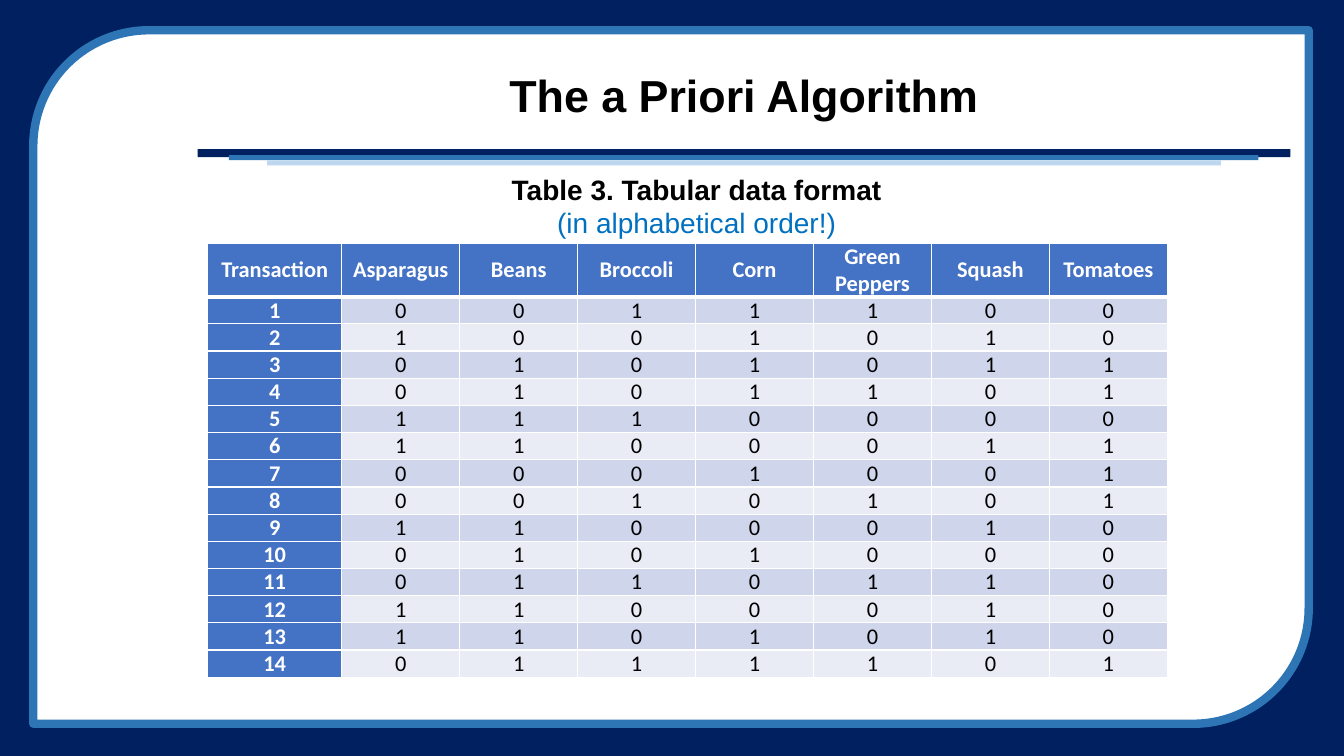
from dataclasses import dataclass

from lxml import etree
from pptx import Presentation
from pptx.dml.color import RGBColor
from pptx.enum.shapes import MSO_SHAPE
from pptx.enum.text import MSO_ANCHOR, PP_ALIGN
from pptx.oxml.ns import qn
from pptx.util import Pt

PX = 9144  # EMU in one px, 100 px to the inch
RECT = MSO_SHAPE.RECTANGLE
DIAG = MSO_SHAPE.ROUND_2_DIAG_RECTANGLE
TOP, MIDDLE = MSO_ANCHOR.TOP, MSO_ANCHOR.MIDDLE
CENTER = PP_ALIGN.CENTER

NAVY = RGBColor(0x00, 0x20, 0x60)
BLUE = RGBColor(0x2E, 0x75, 0xB6)
PALE = RGBColor(0xBD, 0xD7, 0xEE)
NOTE = RGBColor(0x00, 0x70, 0xC0)
HEAD = RGBColor(0x44, 0x72, 0xC4)
ODD = RGBColor(0xCF, 0xD5, 0xEA)
EVEN = RGBColor(0xE9, 0xEB, 0xF5)
WHITE = RGBColor(0xFF, 0xFF, 0xFF)
BLACK = RGBColor(0x00, 0x00, 0x00)


@dataclass
class Box:
    left: int
    top: int
    width: int
    height: int

    def emu(self) -> list[int]:
        return [n * PX for n in (self.left, self.top, self.width, self.height)]


@dataclass
class Panel:
    box: Box
    fill: RGBColor
    kind: int = RECT
    line: RGBColor | None = None
    turn: int = 0


PANELS = [
    # Backdrop and framed page
    Panel(Box(0, 0, 1333, 750), NAVY),
    Panel(Box(33, 30, 1265, 688), WHITE, DIAG, BLUE, 180),
    # Stacked rules under the title
    Panel(Box(196, 148, 1084, 8), NAVY),
    Panel(Box(227, 154, 1021, 5), BLUE),
    Panel(Box(265, 159, 946, 5), PALE),
]

ITEMS = ["Asparagus", "Beans", "Broccoli", "Corn", "Green\nPeppers",
         "Squash", "Tomatoes"]
# One string per transaction, one digit per item
BASKETS = ["0011100", "1001010", "0101011", "0101101", "1110000",
           "1100011", "0001001", "0010101", "1100010", "0101000",
           "0110110", "1100010", "1101010", "0111101"]


def draw(slide, panel: Panel) -> None:
    shape = slide.shapes.add_shape(panel.kind, *panel.box.emu())
    shape.shadow.inherit = False
    shape.rotation = panel.turn
    shape.fill.solid()
    shape.fill.fore_color.rgb = panel.fill
    if panel.line is None:
        shape.line.fill.background()
    else:
        shape.line.color.rgb = panel.line
        shape.line.width = Pt(6)


def write(frame, text: str, *, size: int, color: RGBColor = BLACK,
          bold: bool = False, font: str = "Arial", space: float = 1.0,
          more: bool = False) -> None:
    """Fill the frame with one paragraph per line, or add below its text."""
    for i, line in enumerate(text.split("\n")):
        para = frame.add_paragraph() if more or i else frame.paragraphs[0]
        para.alignment = CENTER
        para.line_spacing = space
        run = para.add_run()
        run.text = line
        run.font.size = Pt(size)
        run.font.name = font
        run.font.bold = bold
        run.font.color.rgb = color


def add_frame(slide, box: Box, anchor: int):
    frame = slide.shapes.add_textbox(*box.emu()).text_frame
    frame.word_wrap = True
    frame.vertical_anchor = anchor
    return frame


def edge(cell, side: str, width: int) -> None:
    props = cell._tc.get_or_add_tcPr()
    line = etree.SubElement(props, qn(f"a:ln{side}"), w=str(Pt(width)))
    fill = etree.SubElement(line, qn("a:solidFill"))
    etree.SubElement(fill, qn("a:srgbClr"), val=str(WHITE))


def fill_cell(cell, text: str, row: int, col: int) -> None:
    cell.margin_left = cell.margin_right = 7 * PX
    cell.margin_top = cell.margin_bottom = 0
    cell.vertical_anchor = MIDDLE
    for side in "LRTB":
        thick = (row == 0 and side == "B") or (row == 1 and side == "T")
        edge(cell, side, 3 if thick else 1)
    label = row == 0 or col == 0
    cell.fill.solid()
    cell.fill.fore_color.rgb = HEAD if label else ODD if row % 2 else EVEN
    write(cell.text_frame, text, size=16, font="Calibri", bold=label,
          color=WHITE if label else BLACK)


def add_grid(slide, box: Box) -> None:
    rows = [["Transaction", *ITEMS]]
    rows += [[str(n), *bits] for n, bits in enumerate(BASKETS, 1)]
    table = slide.shapes.add_table(len(rows), len(rows[0]), *box.emu()).table
    for c, col in enumerate(table.columns):
        col.width = (117 if c else 133) * PX
    for r, row in enumerate(table.rows):
        row.height = (27 if r else 53) * PX
        for c, text in enumerate(rows[r]):
            fill_cell(table.cell(r, c), text, r, c)


def main() -> None:
    deck = Presentation()
    deck.slide_width, deck.slide_height = 1333 * PX, 750 * PX
    slide = deck.slides.add_slide(deck.slide_layouts[6])
    for panel in PANELS:
        draw(slide, panel)

    # Title and table caption
    title = add_frame(slide, Box(196, 49, 1084, 97), MIDDLE)
    write(title, "The a Priori Algorithm", size=32, bold=True, space=0.9)
    body = add_frame(slide, Box(124, 166, 1134, 495), TOP)
    write(body, "Table 3. Tabular data format", size=20, bold=True)
    write(body, "(in alphabetical order!)", size=20, color=NOTE, more=True)

    # Transactions by item
    add_grid(slide, Box(206, 241, 952, 431))
    deck.save("out.pptx")


if __name__ == "__main__":
    main()
